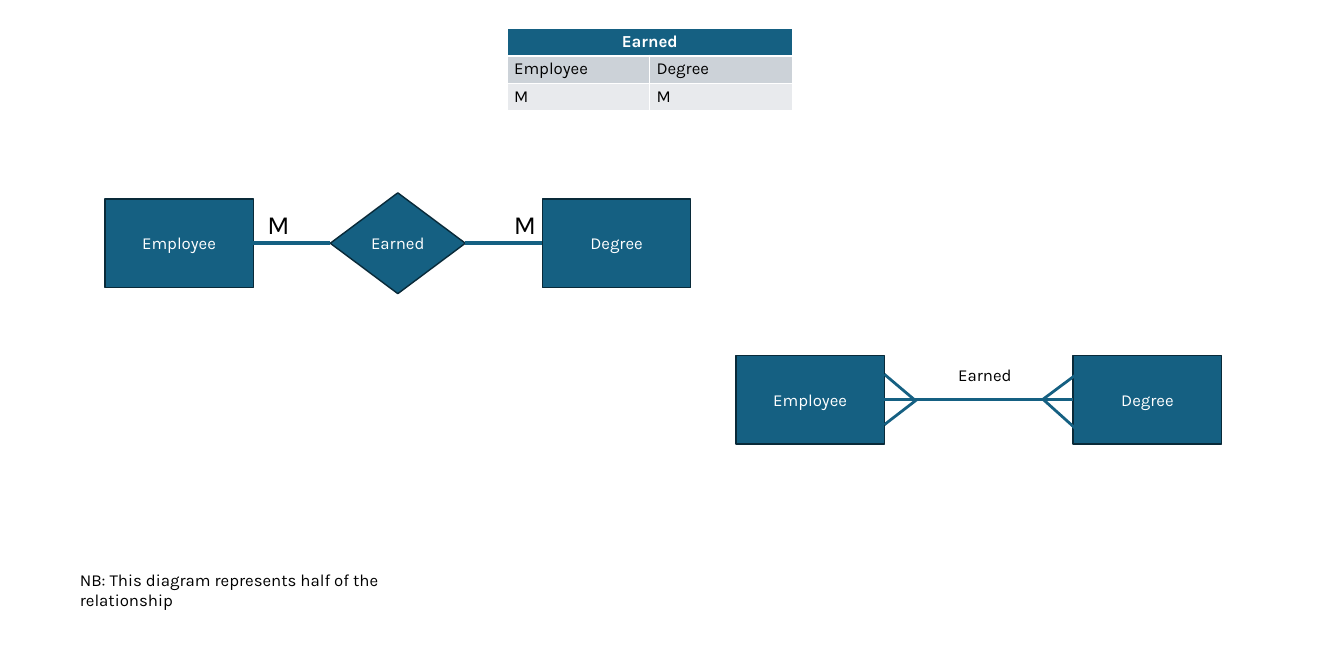
from lxml import etree
from pptx import Presentation
from pptx.dml.color import RGBColor
from pptx.enum.shapes import MSO_CONNECTOR, MSO_SHAPE
from pptx.enum.text import MSO_ANCHOR, MSO_AUTO_SIZE, PP_ALIGN
from pptx.oxml.ns import qn
from pptx.util import Inches, Pt

RECTANGLE, DIAMOND = MSO_SHAPE.RECTANGLE, MSO_SHAPE.DIAMOND
STRAIGHT = MSO_CONNECTOR.STRAIGHT
LEFT, CENTER = PP_ALIGN.LEFT, PP_ALIGN.CENTER
MIDDLE = MSO_ANCHOR.MIDDLE
GROW = MSO_AUTO_SIZE.SHAPE_TO_FIT_TEXT

FONT = "Karla"
BLUE, DARK_BLUE = "156082", "092A39"
BLACK, WHITE = "000000", "FFFFFF"

# Content
RELATIONSHIP = "Earned"
ENTITIES = ("Employee", "Degree")
CARDINALITIES = ("M", "M")
NOTE = "NB: This diagram represents half of the relationship"
ROW_FILLS = ("CCD2D8", "E8EAED")

# Layout in inches
SLIDE_WIDTH, SLIDE_HEIGHT = 20, 10
TABLE_LEFT, TABLE_TOP = 7.55, 0.42
COLUMN_WIDTH, ROW_HEIGHT = 2.12, 0.41
BOX_WIDTH, BOX_HEIGHT = 2.21, 1.32
DIAMOND_WIDTH, DIAMOND_HEIGHT = 2.01, 1.5
CHEN_LEFTS, CHEN_MIDDLE = (1.56, 8.07), 3.62
CROW_LEFTS, CROW_MIDDLE = (10.95, 15.97), 5.95
CARDINALITY_LEFTS, CARDINALITY_TOP = (3.88, 7.55), 3.05
# Each toe: point on the line, then point at the entity
CROW_TOES = [
    ((13.61, 5.95), (13.16, 5.57)),
    ((13.64, 5.95), (13.16, 6.32)),
    ((15.51, 5.95), (16.02, 5.57)),
    ((15.53, 5.95), (16.02, 6.39)),
]

presentation = Presentation()
presentation.slide_width = Inches(SLIDE_WIDTH)
presentation.slide_height = Inches(SLIDE_HEIGHT)
slide = presentation.slides.add_slide(presentation.slide_layouts[6])


def color(value):
    return RGBColor.from_string(value)


def write(frame, text, size=18, font_color=BLACK, bold=False, align=LEFT):
    paragraph = frame.paragraphs[0]
    paragraph.alignment = align
    run = paragraph.add_run()
    run.text = text
    run.font.name = FONT
    run.font.size = Pt(size)
    run.font.bold = bold
    run.font.color.rgb = color(font_color)


def add_label(text, left, top, width, height, **text_format):
    box = slide.shapes.add_textbox(Inches(left), Inches(top), Inches(width), Inches(height))
    box.text_frame.word_wrap = True
    box.text_frame.auto_size = GROW
    write(box.text_frame, text, **text_format)


def add_node(kind, text, left, middle, width=BOX_WIDTH, height=BOX_HEIGHT):
    """Draw a filled shape centred vertically on middle."""
    shape = slide.shapes.add_shape(
        kind, Inches(left), Inches(middle - height / 2), Inches(width), Inches(height))
    shape.shadow.inherit = False
    shape.fill.solid()
    shape.fill.fore_color.rgb = color(BLUE)
    shape.line.color.rgb = color(DARK_BLUE)
    shape.line.width = Pt(1.5)
    shape.text_frame.word_wrap = True
    shape.text_frame.vertical_anchor = MIDDLE
    write(shape.text_frame, text, font_color=WHITE, align=CENTER)


def add_line(start, end, width):
    line = slide.shapes.add_connector(STRAIGHT, *(Inches(value) for value in (*start, *end)))
    line.line.color.rgb = color(BLUE)
    line.line.width = Pt(width)
    etree.SubElement(line._element.spPr, qn("a:effectLst"))


def set_cell(cell, fill, bottom_width=1):
    """Fill a cell and give it white borders."""
    properties = cell._tc.get_or_add_tcPr()
    for side, width in (("L", 1), ("R", 1), ("T", 1), ("B", bottom_width)):
        border = etree.SubElement(properties, qn(f"a:ln{side}"), w=str(Pt(width)))
        solid = etree.SubElement(border, qn("a:solidFill"))
        etree.SubElement(solid, qn("a:srgbClr"), val=WHITE)
    cell.fill.solid()
    cell.fill.fore_color.rgb = color(fill)


def add_relationship_table():
    rows = (ENTITIES, CARDINALITIES)
    row_count, column_count = len(rows) + 1, len(ENTITIES)
    table = slide.shapes.add_table(
        row_count, column_count, Inches(TABLE_LEFT), Inches(TABLE_TOP),
        Inches(COLUMN_WIDTH * column_count), Inches(ROW_HEIGHT * row_count)).table
    header = table.cell(0, 0)
    header.merge(table.cell(0, column_count - 1))
    for column in range(column_count):
        set_cell(table.cell(0, column), BLUE, bottom_width=3)
    write(header.text_frame, RELATIONSHIP, font_color=WHITE, bold=True, align=CENTER)
    for row, (texts, fill) in enumerate(zip(rows, ROW_FILLS), start=1):
        for column, text in enumerate(texts):
            set_cell(table.cell(row, column), fill)
            write(table.cell(row, column).text_frame, text)


def add_entities(lefts, middle):
    for text, left in zip(ENTITIES, lefts):
        add_node(RECTANGLE, text, left, middle)


def add_chen_diagram():
    add_entities(CHEN_LEFTS, CHEN_MIDDLE)
    line_start, line_end = CHEN_LEFTS[0] + BOX_WIDTH, CHEN_LEFTS[1]
    diamond_left = (line_start + line_end - DIAMOND_WIDTH) / 2
    diamond_right = diamond_left + DIAMOND_WIDTH
    add_node(DIAMOND, RELATIONSHIP, diamond_left, CHEN_MIDDLE, DIAMOND_WIDTH, DIAMOND_HEIGHT)
    for start, end in ((line_start, diamond_left), (diamond_right, line_end)):
        add_line((start, CHEN_MIDDLE), (end, CHEN_MIDDLE), 4.5)
    for text, left in zip(CARDINALITIES, CARDINALITY_LEFTS):
        add_label(text, left, CARDINALITY_TOP, 1.03, 0.57, size=28)


def add_crow_foot_diagram():
    add_entities(CROW_LEFTS, CROW_MIDDLE)
    add_line((CROW_LEFTS[0] + BOX_WIDTH, CROW_MIDDLE), (CROW_LEFTS[1], CROW_MIDDLE), 3)
    for start, end in CROW_TOES:
        add_line(start, end, 3)
    add_label(RELATIONSHIP, 14.16, 5.38, 1.35, 0.4)


add_relationship_table()
add_chen_diagram()
add_crow_foot_diagram()
add_label(NOTE, 1.09, 8.43, 5.83, 0.4)
presentation.save("out.pptx")
